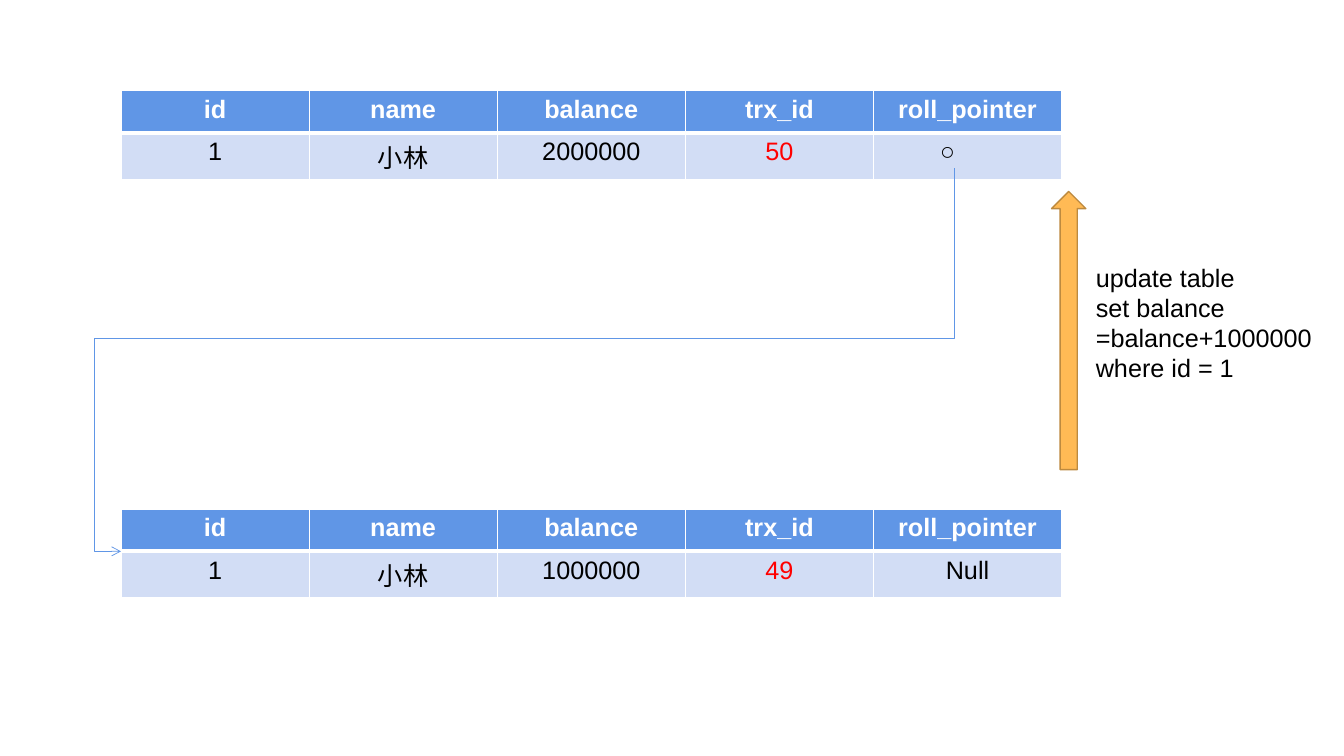
import pptx
import pptx.util
import pptx.dml.color
import pptx.enum.shapes
import pptx.enum.text
import pptx.oxml
import pptx.oxml.ns
import lxml.etree

Inches = pptx.util.Inches
Pt = pptx.util.Pt
qn = pptx.oxml.ns.qn

FIELDS = ["id", "name", "balance", "trx_id", "roll_pointer"]
VERSIONS = [
    {"top": 5.05, "values": ["1", "小林", "1000000", "49", "Null"]},
    {"top": 0.9, "values": ["1", "小林", "2000000", "50", ""]},
]
STATEMENT = ["update table ", "set balance =balance+1000000", "where id = 1"]
POINTER = "⚪"
COLORS = {
    "header": "6096E6",
    "row": "D2DDF5",
    "white": "FFFFFF",
    "black": "000000",
    "trx": "FF0000",
    "arrow": "FFBA55",
    "arrow_edge": "BD8A3F",
}
TABLE_LEFT, TABLE_WIDTH, ROW_HEIGHT = 1.2, 9.33, 0.42
POINTER_START, POINTER_END = (9.47, 1.67), (1.2, 5.47)
POINTER_BENDS = {"adj1": 44500, "adj2": 103200}


def color(name):
    return pptx.dml.color.RGBColor.from_string(COLORS[name])


def add_run(paragraph, text, size, ink, bold=False):
    run = paragraph.add_run()
    run.text = text
    run.font.name = "Arial"
    run.font.size = Pt(size)
    run.font.bold = bold
    run.font.color.rgb = color(ink)


def set_borders(cell, bottom):
    properties = cell._tc.get_or_add_tcPr()
    for place, (side, width) in enumerate([("L", 1), ("R", 1), ("T", 1), ("B", bottom)]):
        border = lxml.etree.Element(qn(f"a:ln{side}"), w=str(Pt(width)))
        fill = lxml.etree.SubElement(border, qn("a:solidFill"))
        lxml.etree.SubElement(fill, qn("a:srgbClr"), val=COLORS["white"])
        properties.insert(place, border)


def fill_cell(cell, text, fill, ink, bold, bottom):
    cell.fill.solid()
    cell.fill.fore_color.rgb = color(fill)
    set_borders(cell, bottom)
    paragraph = cell.text_frame.paragraphs[0]
    paragraph.alignment = pptx.enum.text.PP_ALIGN.CENTER
    if text:
        add_run(paragraph, text, 18, ink, bold)


def add_version(slide, version):
    table = slide.shapes.add_table(
        2, len(FIELDS), Inches(TABLE_LEFT), Inches(version["top"]),
        Inches(TABLE_WIDTH), Inches(2 * ROW_HEIGHT)).table
    for column, (field, value) in enumerate(zip(FIELDS, version["values"])):
        ink = "trx" if field == "trx_id" else "black"
        fill_cell(table.cell(0, column), field, "header", "white", True, 3)
        fill_cell(table.cell(1, column), value, "row", ink, False, 1)
    table.cell(1, 0)._tc.tcPr.find(qn("a:lnT")).set("w", str(Pt(3)))
    for column in range(1, len(FIELDS)):
        table.cell(1, column)._tc.tcPr.find(qn("a:lnT")).set("w", str(Pt(3)))


def add_roll_pointer(slide):
    (start_x, start_y), (end_x, end_y) = POINTER_START, POINTER_END
    center_x, center_y = (start_x + end_x) / 2, (start_y + end_y) / 2
    half_width, half_height = (end_y - start_y) / 2, (start_x - end_x) / 2
    link = slide.shapes.add_connector(
        pptx.enum.shapes.MSO_CONNECTOR.ELBOW,
        Inches(center_x - half_width), Inches(center_y - half_height),
        Inches(center_x + half_width), Inches(center_y + half_height))
    link.line.color.rgb = color("header")
    link.line.width = Pt(0.5)
    properties = link._element.spPr
    properties.find(qn("a:xfrm")).set("rot", str(90 * 60000))
    geometry = properties.find(qn("a:prstGeom"))
    geometry.set("prst", "bentConnector4")
    guides = geometry.find(qn("a:avLst"))
    for name, value in POINTER_BENDS.items():
        lxml.etree.SubElement(guides, qn("a:gd"), name=name, fmla=f"val {value}")
    lxml.etree.SubElement(properties.find(qn("a:ln")), qn("a:tailEnd"), type="arrow")
    lxml.etree.SubElement(properties, qn("a:effectLst"))


def add_update_arrow(slide):
    arrow = slide.shapes.add_shape(
        pptx.enum.shapes.MSO_SHAPE.UP_ARROW,
        Inches(10.43), Inches(1.9), Inches(0.34), Inches(2.76))
    arrow.shadow.inherit = False
    arrow.fill.solid()
    arrow.fill.fore_color.rgb = color("arrow")
    arrow.line.color.rgb = color("arrow_edge")
    arrow.line.width = Pt(1)


def add_text(slide, box, lines, size):
    frame = slide.shapes.add_textbox(*map(Inches, box)).text_frame
    frame.word_wrap = True
    paragraph = frame.paragraphs[0]
    for number, line in enumerate(lines):
        if number:
            paragraph.add_line_break()
        add_run(paragraph, line, size, "black")


def main():
    deck = pptx.Presentation()
    deck.slide_width, deck.slide_height = Inches(13.33), Inches(7.5)
    slide = deck.slides.add_slide(deck.slide_layouts[6])
    for version in VERSIONS:
        add_version(slide, version)
    add_text(slide, (9.24, 1.33, 0.45, 0.34), [POINTER], 14)
    add_roll_pointer(slide)
    add_update_arrow(slide)
    add_text(slide, (10.77, 2.55, 2.48, 1.47), STATEMENT, 18)
    deck.save("out.pptx")


if __name__ == "__main__":
    main()
